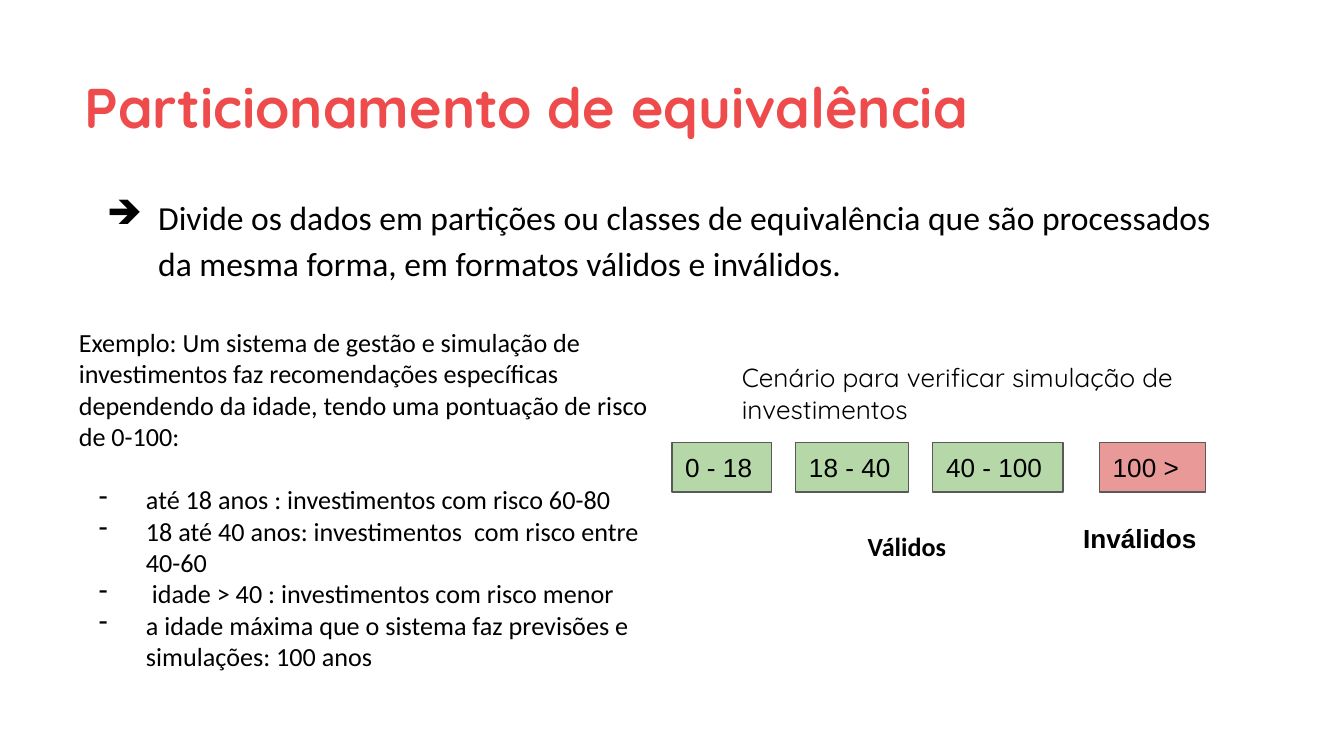
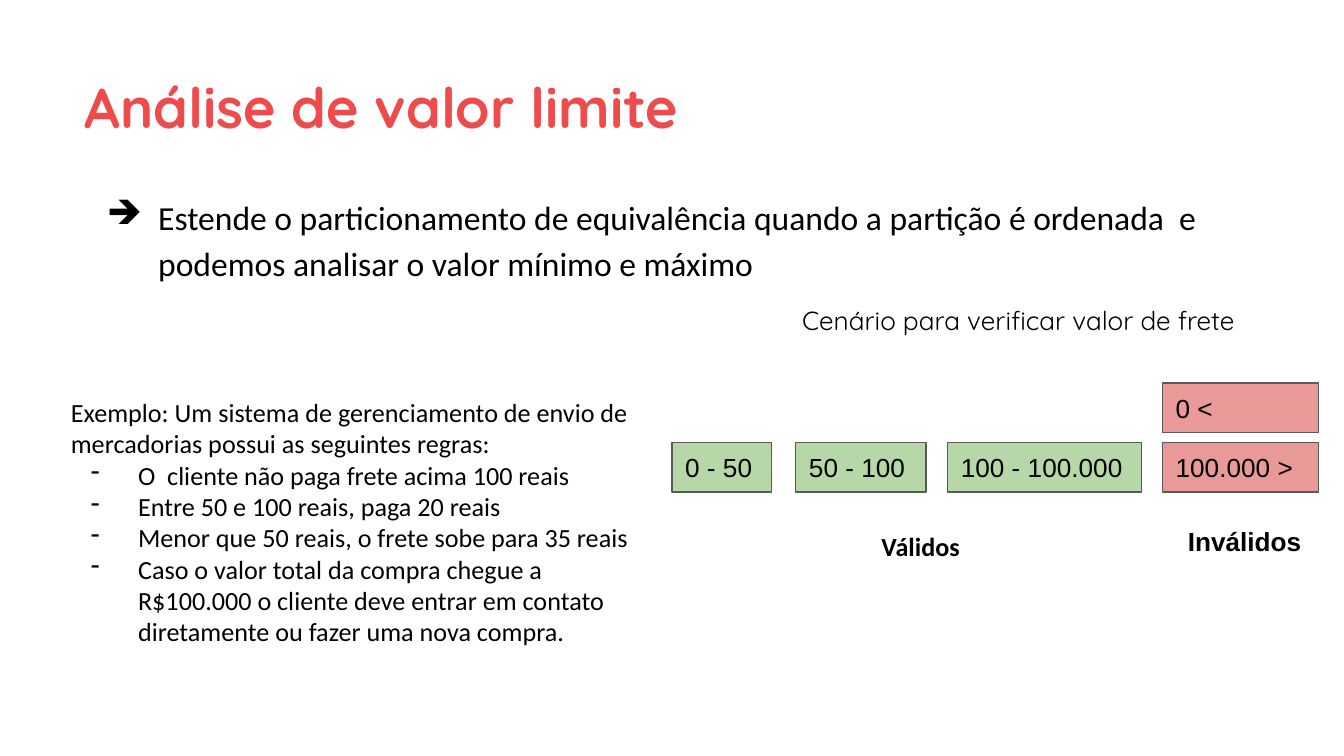
from lxml.etree import SubElement
from pptx import Presentation
from pptx.dml.color import RGBColor
from pptx.enum.shapes import MSO_SHAPE
from pptx.enum.text import MSO_ANCHOR, PP_ALIGN
from pptx.oxml.ns import qn
from pptx.util import Cm, Pt

RED = RGBColor(0xEE, 0x4C, 0x4C)
BLACK = RGBColor(0, 0, 0)
GREEN = RGBColor(0xB6, 0xD7, 0xA8)
PINK = RGBColor(0xEA, 0x99, 0x99)
GRAY = RGBColor(0x59, 0x59, 0x59)

TITLE = {"name": "Quicksand", "size": Pt(30), "bold": True}
LEAD = {"name": "Calibri", "size": Pt(18)}
BODY = {"name": "Calibri", "size": Pt(14)}
SCENE = {"name": "Quicksand", "size": Pt(14)}
RANGE = {"name": "Arial", "size": Pt(14)}
ROW = 8.36


class Deck:
    def __init__(self):
        self.prs = Presentation()
        self.prs.slide_width = Cm(25.4)
        self.prs.slide_height = Cm(14.29)
        self.slide = None

    def page(self, title, lead):
        self.slide = self.prs.slides.add_slide(self.prs.slide_layouts[6])
        frame = self.text((1.35, 0.74, 23.01, 2.34), title, TITLE, color=RED)
        frame.paragraphs[0].line_spacing = 1.15
        frame = self.text((1.47, 3.4, 22.1, 2.16), lead, LEAD)
        frame.paragraphs[0].line_spacing = 1.15
        self.bullet(frame.paragraphs[0], "➔", 0.97)

    def frame(self, shape, anchor):
        frame = shape.text_frame
        style = {"word_wrap": True, "vertical_anchor": anchor}
        for side in ("left", "top", "right", "bottom"):
            style["margin_" + side] = Cm(0.25)
        for key, value in style.items():
            setattr(frame, key, value)
        return frame

    def label(self, para, words, style, color=BLACK):
        para.alignment = PP_ALIGN.LEFT
        run = para.add_run()
        run.text = words
        for key, value in style.items():
            setattr(run.font, key, value)
        run.font.color.rgb = color

    def text(self, area, words, style, anchor=MSO_ANCHOR.MIDDLE, color=BLACK):
        box = self.slide.shapes.add_textbox(*map(Cm, area))
        frame = self.frame(box, anchor)
        self.label(frame.paragraphs[0], words, style, color)
        return frame

    def bullet(self, para, mark, hang):
        props = para._p.get_or_add_pPr()
        props.set("marL", str(Cm(1.27)))
        props.set("indent", str(-Cm(hang)))
        tint = SubElement(props, qn("a:buClr"))
        SubElement(tint, qn("a:srgbClr")).set("val", str(BLACK))
        SubElement(props, qn("a:buChar")).set("char", mark)

    def sample(self, area, intro, rules, gap=0):
        frame = self.text(area, intro, BODY, MSO_ANCHOR.TOP)
        frame.paragraphs[0].space_after = Pt(gap)
        for rule in rules:
            para = frame.add_paragraph()
            self.label(para, rule, BODY)
            self.bullet(para, "-", 0.89)

    def range(self, left, width, words, fill=GREEN, top=ROW):
        area = map(Cm, (left, top, width, 0.94))
        box = self.slide.shapes.add_shape(MSO_SHAPE.RECTANGLE, *area)
        box.shadow.inherit = False
        box.fill.solid()
        box.fill.fore_color.rgb = fill
        box.line.color.rgb = GRAY
        box.line.width = Pt(0.75)
        frame = self.frame(box, MSO_ANCHOR.MIDDLE)
        self.label(frame.paragraphs[0], words, RANGE)

    def groups(self, good, bad, top):
        bold = {"bold": True}
        self.text((good, 9.78, 2.26, 1.12), "Válidos", BODY | bold, MSO_ANCHOR.TOP)
        self.text((bad, top, 2.82, 1.12), "Inválidos", RANGE | bold, MSO_ANCHOR.TOP)


def main():
    deck = Deck()

    deck.page(
        "Particionamento de equivalência",
        "Divide os dados em partições ou classes de equivalência que são "
        "processados da mesma forma, em formatos válidos e inválidos.",
    )
    deck.sample(
        (1.24, 5.92, 11.33, 8.31),
        "Exemplo: Um sistema de gestão e simulação de investimentos faz "
        "recomendações específicas dependendo da idade, tendo uma pontuação "
        "de risco de 0-100:",
        (
            "até 18 anos : investimentos com risco 60-80",
            "18 até 40 anos: investimentos  com risco entre 40-60",
            " idade > 40 : investimentos com risco menor",
            "a idade máxima que o sistema faz previsões e simulações: 100 anos",
        ),
        gap=17,
    )
    deck.text((13.77, 6.58, 9.68, 1.7),
              "Cenário para verificar simulação de investimentos", SCENE)
    deck.range(12.7, 1.88, "0 - 18")
    deck.range(15.04, 2.13, "18 - 40")
    deck.range(17.63, 2.46, "40 - 100")
    deck.range(20.78, 2.01, "100 >", PINK)
    deck.groups(16.15, 20.22, 9.63)

    deck.page(
        "Análise de valor limite",
        "Estende o particionamento de equivalência quando a partição é "
        "ordenada  e podemos analisar o valor mínimo e máximo",
    )
    deck.sample(
        (1.09, 7.24, 11.33, 6.5),
        "Exemplo: Um sistema de gerenciamento de envio de mercadorias "
        "possui as seguintes regras:",
        (
            "O  cliente não paga frete acima 100 reais",
            "Entre 50 e 100 reais, paga 20 reais",
            "Menor que 50 reais, o frete sobe para 35 reais",
            "Caso o valor total da compra chegue a R$100.000 o cliente deve "
            "entrar em contato diretamente ou fazer uma nova compra.",
        ),
    )
    deck.text((14.91, 5.49, 9.68, 1.12),
              "Cenário para verificar valor de frete", SCENE)
    deck.range(12.7, 1.88, "0 - 50")
    deck.range(15.04, 2.46, "50 - 100")
    deck.range(17.91, 3.66, "100 - 100.000")
    deck.range(21.97, 2.95, "100.000 >", PINK)
    deck.range(21.97, 2.95, "0 <", PINK, top=7.24)
    deck.groups(16.41, 22.2, 9.68)

    deck.prs.save("out.pptx")


if __name__ == "__main__":
    main()
